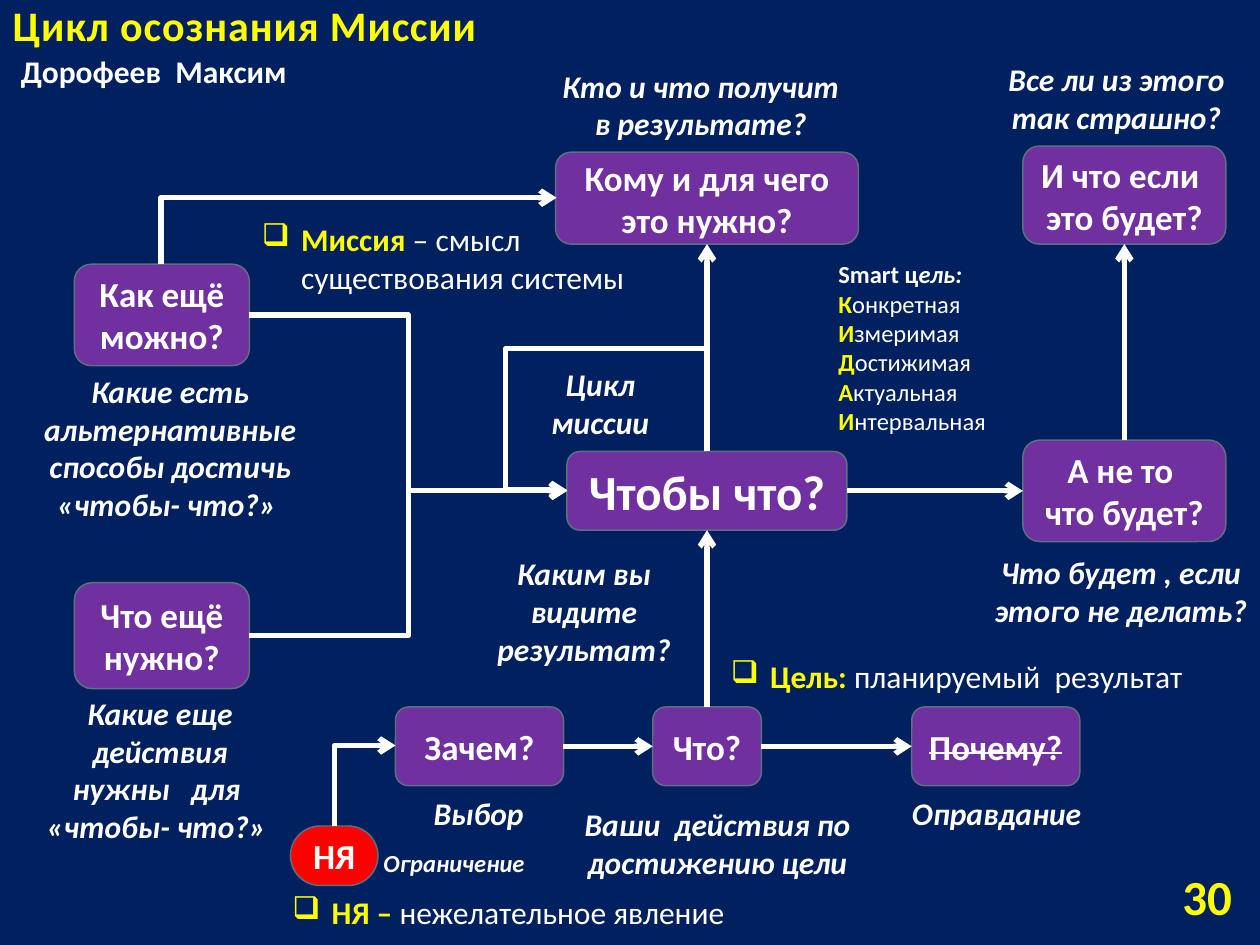
from lxml import etree
from pptx import Presentation
from pptx.dml.color import RGBColor
from pptx.enum import shapes as sh, text as tx
from pptx.oxml.ns import qn
from pptx.util import Pt

NAVY = RGBColor(0x00, 0x20, 0x60)
PURPLE = RGBColor(0x70, 0x30, 0xA0)
RED = RGBColor(0xFF, 0x00, 0x00)
EDGE = RGBColor(0x5D, 0x70, 0x80)
WHITE = RGBColor(0xFF, 0xFF, 0xFF)
YELLOW = RGBColor(0xFF, 0xFF, 0x00)
FONT = "Calibri"
LEFT, MID, RIGHT = tx.PP_ALIGN.LEFT, tx.PP_ALIGN.CENTER, tx.PP_ALIGN.RIGHT
TOP, LEFT_SIDE, BOTTOM, RIGHT_SIDE = range(4)

TITLE = "Цикл осознания Миссии"

# key: (text, (left, top, width, height), format)
BOXES = {
    "goal": ("Чтобы что?", (324, 258, 160, 45), {"size": 28}),
    "whom": ("Кому и для чего это нужно?", (317.5, 87, 173, 52.5), {}),
    "how": ("Как ещё можно?", (42.5, 151, 100, 58), {}),
    "else": ("Что ещё нужно?", (42.5, 333, 100, 60.5), {}),
    "not": ("А не то \nчто будет?", (584.5, 251.5, 116, 58), {}),
    "if": ("И что если  это будет?", (584.5, 83.5, 116, 56), {}),
    "what": ("Что?", (373, 404, 62, 45), {}),
    "why": ("Зачем?", (226, 404, 96, 45), {}),
    "cause": ("Почему?", (521, 404, 96, 45), {"strike": True}),
    "bad": ("НЯ", (166, 472, 50, 34), {}),
}

# (from, side, to, side)
STRAIGHT = [
    ("what", TOP, "goal", BOTTOM),
    ("goal", TOP, "whom", BOTTOM),
    ("goal", RIGHT_SIDE, "not", LEFT_SIDE),
    ("not", TOP, "if", BOTTOM),
    ("why", RIGHT_SIDE, "what", LEFT_SIDE),
    ("what", RIGHT_SIDE, "cause", LEFT_SIDE),
]
ELBOWS = [(key, RIGHT_SIDE, "goal", LEFT_SIDE) for key in ("how", "else")]
CORNERS = [("how", "whom"), ("bad", "why")]
LOOP = (289, 199)

# text, (left, top, width, height), size
HINTS = [
    ("Что будет , если этого не делать?", (554, 312.5, 173, 51), 18),
    ("Какие еще действия нужны   для  «чтобы- что?» ", (18, 393, 147, 94), 18),
    ("Какие есть альтернативные способы достичь «чтобы- что?» ",
     (8, 209, 178.5, 94), 18),
    ("Каким вы видите результат?", (276.5, 313, 114.5, 73), 18),
    ("Ваши  действия по достижению цели", (308, 456.5, 204, 51), 18),
    ("Кто и что получит в результате?", (309, 34.5, 183, 51), 18),
    ("Все ли из этого так страшно?", (551.5, 31, 173, 51), 18),
    ("Цикл миссии", (292, 205, 102, 51), 18),
    ("Выбор", (222.5, 450, 102, 29), 18),
    ("Оправдание", (512.5, 450, 114, 29), 18),
    ("Ограничение", (211, 481, 97, 24), 14),
]

# term, meaning, (left, top, width, height)
TERMS = [
    ("Цель: ", "планируемый  результат", (410.5, 372, 290, 29)),
    ("Миссия", " – смысл существования системы", (142.5, 122, 275, 51)),
    ("НЯ – ", "нежелательное явление", (160, 507, 280, 29)),
]

SMART = ["Конкретная  ", "Измеримая  ", "Достижимая ", "Актуальная  ",
         "Интервальная"]
KEY = {"color": YELLOW, "bold": True}
PLAIN = {"bold": False}


def write(frame, *paras, size=18, color=WHITE, bold=True, italic=False,
          strike=False, gap=0, align=LEFT, anchor=tx.MSO_ANCHOR.TOP,
          bullet=None, wrap=True):
    """Fill a frame; each paragraph is a list of (text, run overrides)."""
    frame.word_wrap = wrap
    frame.vertical_anchor = anchor
    for i, runs in enumerate(paras):
        para = frame.add_paragraph() if i else frame.paragraphs[0]
        para.alignment = align
        if bullet:
            ppr = para._p.get_or_add_pPr()
            ppr.set("marL", str(Pt(22.5)))
            ppr.set("indent", str(-Pt(22.5)))
            etree.SubElement(ppr, qn("a:buChar")).set("char", bullet)
        for words, own in runs:
            look = {"color": color, "bold": bold, "italic": italic, **own}
            for j, line in enumerate(words.split("\n")):
                if j:
                    para.add_line_break()
                run = para.add_run()
                run.text = line
                font = run.font
                font.name, font.size = FONT, Pt(size)
                font.bold, font.italic = look["bold"], look["italic"]
                font.color.rgb = look["color"]
                rpr = run._r.get_or_add_rPr()
                if strike:
                    rpr.set("strike", "sngStrike")
                if gap:
                    rpr.set("spc", str(gap))


def label(slide, area, *paras, **fmt):
    write(slide.shapes.add_textbox(*map(Pt, area)).text_frame, *paras, **fmt)


def add_box(slide, words, area, fill, **fmt):
    box = slide.shapes.add_shape(sh.MSO_SHAPE.ROUNDED_RECTANGLE,
                                 *map(Pt, area))
    box.shadow.inherit = False
    box.fill.solid()
    box.fill.fore_color.rgb = fill
    box.line.color.rgb = EDGE
    box.line.width = Pt(0.85)
    write(box.text_frame, [(words, {})], align=MID,
          anchor=tx.MSO_ANCHOR.MIDDLE, wrap=" " in words,
          **{"size": 20, **fmt})
    return box


def arrow(line):
    """Give a line its white stroke and arrowhead."""
    line.color.rgb = WHITE
    line.width = Pt(3)
    etree.SubElement(line._get_or_add_ln(), qn("a:tailEnd")).set(
        "type", "arrow")


def join(slide, kind, start, out, end, into):
    link = slide.shapes.add_connector(kind, 0, 0, 0, 0)
    link.begin_connect(start, out)
    link.end_connect(end, into)
    arrow(link.line)
    etree.SubElement(link._element.spPr, qn("a:effectLst"))


def bend(slide, first, *rest):
    """Draw an open arrow through the given points."""
    build = slide.shapes.build_freeform(*first, scale=Pt(1))
    build.add_line_segments(rest, close=False)
    shape = build.convert_to_shape()
    shape.shadow.inherit = False
    shape.fill.background()
    arrow(shape.line)


def side(key, where):
    x, y, w, h = BOXES[key][1]
    return [(x + w / 2, y), (x, y + h / 2),
            (x + w / 2, y + h), (x + w, y + h / 2)][where]


def main():
    deck = Presentation()
    deck.slide_width, deck.slide_height = Pt(720), Pt(540)
    slide = deck.slides.add_slide(deck.slide_layouts[5])
    slide.background.fill.solid()
    slide.background.fill.fore_color.rgb = NAVY

    title = slide.shapes.title
    title.left, title.top, title.width, title.height = map(
        Pt, (0, -1, 348, 33))
    write(title.text_frame, [(TITLE, KEY)], size=24, gap=50,
          anchor=tx.MSO_ANCHOR.BOTTOM)
    label(slide, (0, 26, 171, 29), [("Дорофеев  Максим", {})], align=RIGHT)
    label(slide, (626, 497.5, 85, 29), [("30", KEY)], size=28, align=RIGHT,
          anchor=tx.MSO_ANCHOR.MIDDLE)

    boxes = {key: add_box(slide, words, area,
                          RED if key == "bad" else PURPLE, **fmt)
             for key, (words, area, fmt) in BOXES.items()}
    boxes["bad"].adjustments[0] = 0.5

    for kind, links in ((sh.MSO_CONNECTOR.STRAIGHT, STRAIGHT),
                        (sh.MSO_CONNECTOR.ELBOW, ELBOWS)):
        for start, out, end, into in links:
            join(slide, kind, boxes[start], out, boxes[end], into)
    for start, end in CORNERS:
        low, tip = side(start, TOP), side(end, LEFT_SIDE)
        bend(slide, low, (low[0], tip[1]), tip)
    head, tip = side("goal", TOP), side("goal", LEFT_SIDE)
    bend(slide, head, (head[0], LOOP[1]), LOOP, (LOOP[0], tip[1]), tip)

    for words, area, size in HINTS:
        label(slide, area, [(words, {})], size=size, italic=True, align=MID)
    for term, sense, area in TERMS:
        label(slide, area, [(term, KEY), (sense, PLAIN)], bullet="❑")
    traits = [run for word in SMART
              for run in ((word[0], KEY), (word[1:], PLAIN))]
    label(slide, (472, 144.5, 122.5, 109),
          [("Smart ц", {}), ("ель:", {"italic": True})], traits, size=14)

    deck.save("out.pptx")


if __name__ == "__main__":
    main()
